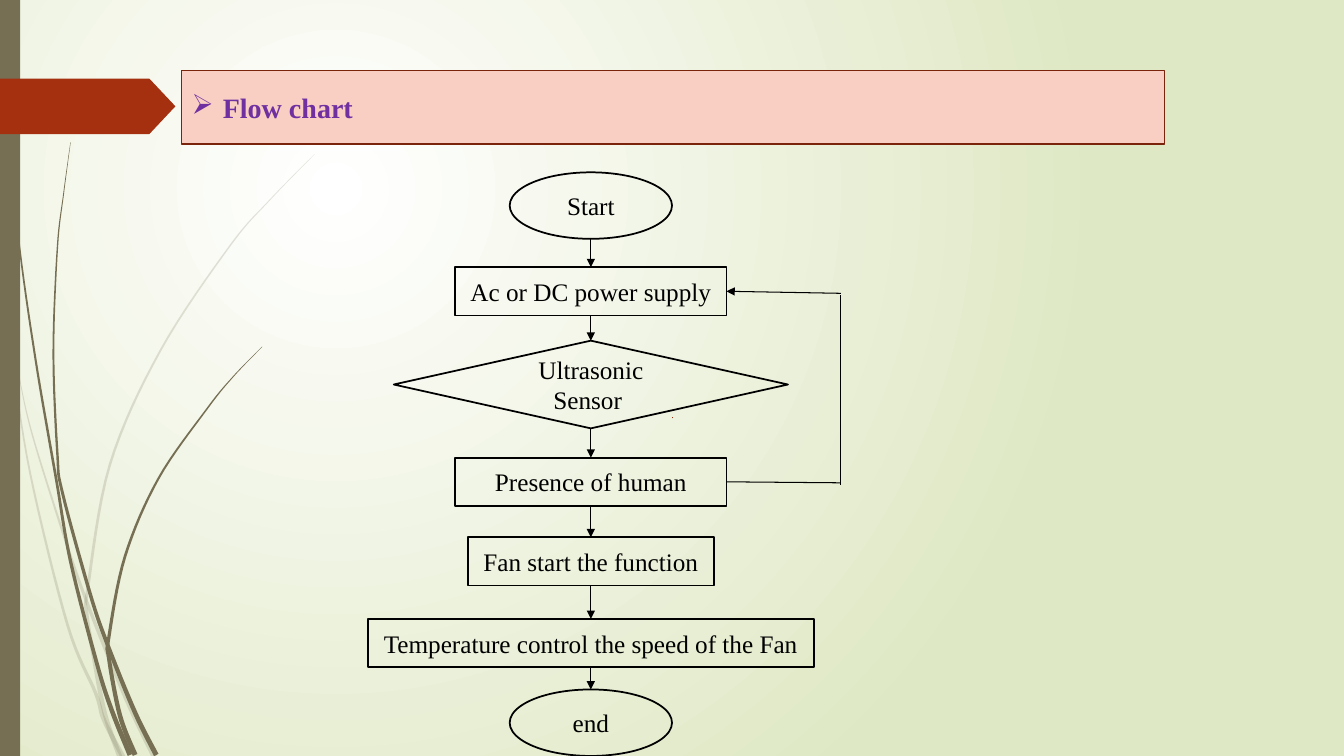
from math import hypot

from lxml.etree import SubElement as Sub
from pptx import Presentation
from pptx.dml.color import RGBColor
from pptx.enum.shapes import MSO_CONNECTOR as Link, MSO_SHAPE as Shape
from pptx.enum.text import MSO_ANCHOR as Anchor, PP_ALIGN as Align
from pptx.oxml.ns import qn
from pptx.util import Pt

PX = 9144  # 100 px to the inch
FACE = "Times New Roman"
BLACK, OLIVE, RUST = "000000", "766F54", "A53010"
MID = 586  # centre line of the flow

# Grass blades: points from tip to root
PALE = [
    [(0, 291), (11, 350), (30, 470), (67, 620), (95, 688), (103, 714), (122, 751)],
    [(14, 345), (29, 420), (60, 521), (86, 597), (125, 693), (153, 751)],
    [(312, 153), (268, 198), (228, 244), (159, 348), (109, 461), (87, 584),
     (86, 608), (92, 646), (104, 708), (119, 751)],
]
DARK = [
    [(4, 0), (8, 110), (18, 233), (35, 355), (56, 477), (70, 557),
     (96, 658), (111, 705), (129, 749)],
    [(70, 141), (63, 193), (57, 245), (53, 349), (57, 451), (62, 489),
     (90, 591), (108, 643), (134, 707), (155, 749)],
    [(260, 344), (231, 374), (205, 406), (157, 475), (124, 552), (108, 632),
     (108, 653), (119, 710), (134, 749)],
]

# Flow steps: text, shape, width, top, height
STEPS = [
    ("Start", Shape.OVAL, 161, 171, 66),
    ("Ac or DC power supply", Shape.RECTANGLE, 269, 265, 48),
    ("Ultrasonic Sensor ", Shape.FLOWCHART_DECISION, 391, 338, 87),
    ("Presence of human", Shape.RECTANGLE, 269, 454, 48),
    ("Fan start the function", Shape.RECTANGLE, 244, 533, 48),
    ("Temperature control the speed of the Fan", Shape.RECTANGLE, 442, 614, 48),
    ("end", Shape.OVAL, 161, 684, 66),
]


def rgb(code):
    return RGBColor.from_string(code)


def paint(shape, fill=None, line=None, width=1.25):
    if fill:
        shape.fill.solid()
        shape.fill.fore_color.rgb = rgb(fill)
    else:
        shape.fill.background()
    if line:
        shape.line.color.rgb = rgb(line)
        shape.line.width = Pt(width)
    else:
        shape.line.fill.background()
    shape.shadow.inherit = False


def block(slide, kind, x, y, w, h, fill=None, line=None):
    shape = slide.shapes.add_shape(kind, x * PX, y * PX, w * PX, h * PX)
    paint(shape, fill, line)
    return shape


def backdrop(slide):
    fill = slide.background.fill
    fill.gradient()
    for stop, code, at in zip(fill.gradient_stops, ("FFFFFF", "DFE8C4"), (0, 1)):
        stop.color.rgb = rgb(code)
        stop.position = at
    grad = next(slide.element.iter(qn("a:gradFill")))
    grad.remove(grad.find(qn("a:lin")))
    ring = Sub(grad, qn("a:path"), path="circle")
    Sub(ring, qn("a:fillToRect"), l="50000", t="50000", r="100000", b="100000")


def curve(knots, parts=8):
    """Smooth points through the knots (Catmull-Rom)."""
    ends = [knots[0], *knots, knots[-1]]
    out = [knots[0]]
    for a, b, c, d in zip(ends, ends[1:], ends[2:], ends[3:]):
        for step in range(1, parts + 1):
            t = step / parts
            out.append(tuple(
                (2 * q + (r - p) * t + (2 * p - 5 * q + 4 * r - s) * t**2
                 + (3 * q - p - 3 * r + s) * t**3) / 2
                for p, q, r, s in zip(a, b, c, d)))
    return out


def blade(slide, knots, alpha=None, thick=5):
    mids = curve(knots)
    last = len(mids) - 1
    left, right = [], []
    for i, (x, y) in enumerate(mids):
        (x0, y0), (x1, y1) = mids[max(i - 1, 0)], mids[min(i + 1, last)]
        size = hypot(x1 - x0, y1 - y0)
        half = (0.3 + (thick - 0.3) * i / last) / 2
        dx, dy = (y1 - y0) / size * half, (x0 - x1) / size * half
        left.append(((x + dx) * PX, (y + dy) * PX))
        right.append(((x - dx) * PX, (y - dy) * PX))
    rim = left + right[::-1]
    pen = slide.shapes.build_freeform(*rim[0], scale=1.0)
    pen.add_line_segments(rim[1:], close=True)
    shape = pen.convert_to_shape()
    paint(shape, OLIVE)
    if alpha:
        tint = next(shape.element.spPr.iter(qn("a:srgbClr")))
        Sub(tint, qn("a:alpha"), val=str(alpha * 1000))


def heading(slide):
    title = slide.shapes.title
    title.left, title.top, title.width, title.height = (
        n * PX for n in (180, 70, 975, 73))
    paint(title, "F9CFC3", "7A240C")
    frame = title.text_frame
    frame.text = "Flow chart"
    frame.vertical_anchor = Anchor.MIDDLE
    para = frame.paragraphs[0]
    para.alignment = Align.LEFT
    props = para._p.get_or_add_pPr()
    props.set("marL", str(31 * PX))
    props.set("indent", str(-31 * PX))
    Sub(Sub(props, qn("a:buClr")), qn("a:srgbClr"), val="7030A0")
    Sub(props, qn("a:buChar"), char="➢")
    style(para, 20, "7030A0", True)


def style(para, size, code, bold=False):
    font = para.font
    font.name, font.size, font.bold = FACE, Pt(size), bold
    font.color.rgb = rgb(code)


def step(slide, text, kind, w, y, h):
    shape = block(slide, kind, MID - w / 2, y, w, h, line=BLACK)
    frame = shape.text_frame
    frame.word_wrap = True
    frame.text = text
    frame.vertical_anchor = Anchor.MIDDLE
    para = frame.paragraphs[0]
    para.alignment = Align.CENTER
    style(para, 18, BLACK)
    return shape


def wire(slide, x0, y0, x1, y1, head=False, code=BLACK):
    line = slide.shapes.add_connector(
        Link.STRAIGHT, *(round(n * PX) for n in (x0, y0, x1, y1)))
    line.line.color.rgb = rgb(code)
    line.line.width = Pt(0.75)
    if head:
        Sub(line.line._get_or_add_ln(), qn("a:tailEnd"), type="triangle")
    Sub(line._element.spPr, qn("a:effectLst"))
    return line


def main():
    deck = Presentation()
    deck.slide_width, deck.slide_height = 1333 * PX, 750 * PX
    slide = deck.slides.add_slide(deck.slide_layouts[5])

    # Backdrop and grass
    backdrop(slide)
    for knots in PALE:
        blade(slide, knots, alpha=20)
    for knots in DARK:
        blade(slide, knots)
    block(slide, Shape.RECTANGLE, 0, 0, 20, 750, OLIVE)
    tag = block(slide, Shape.PENTAGON, 0, 78, 174, 55, RUST)
    tag.adjustments[0] = 0.47

    heading(slide)

    # Steps and the arrows between them
    boxes = [step(slide, *row) for row in STEPS]
    for i, (upper, lower) in enumerate(zip(boxes, boxes[1:])):
        foot = STEPS[i][3] + STEPS[i][4]
        line = wire(slide, MID, foot, MID, STEPS[i + 1][3], head=True)
        if STEPS[i][1] != Shape.OVAL:
            line.begin_connect(upper, 2)
        line.end_connect(lower, 0)

    # Loop back to the supply
    supply, human = boxes[1], boxes[3]
    wire(slide, 721, 478, 834, 479).begin_connect(human, 3)
    wire(slide, 834, 481, 834, 293)
    wire(slide, 834, 291, 721, 289, head=True).end_connect(supply, 3)

    # Small red tick by the sensor
    wire(slide, 667, 415, 667, 414, code="9E2E0F")

    deck.save("out.pptx")


if __name__ == "__main__":
    main()
